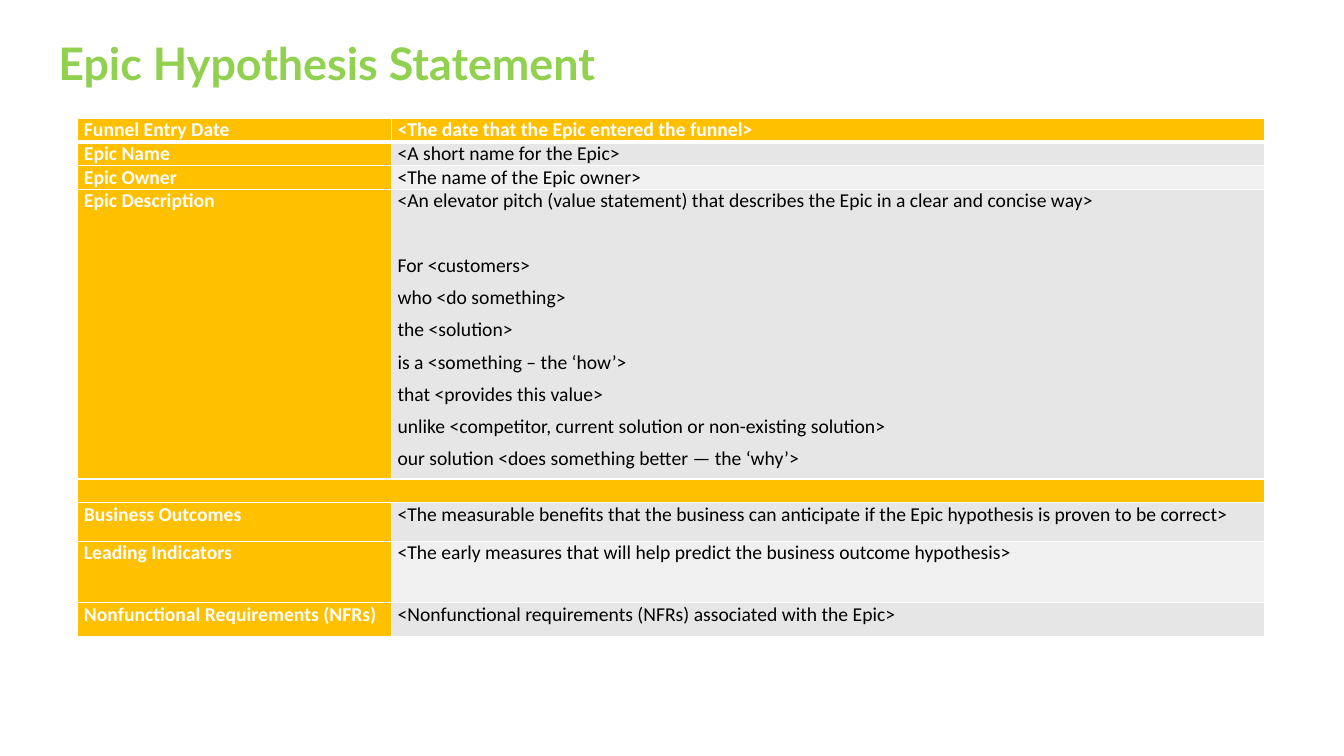
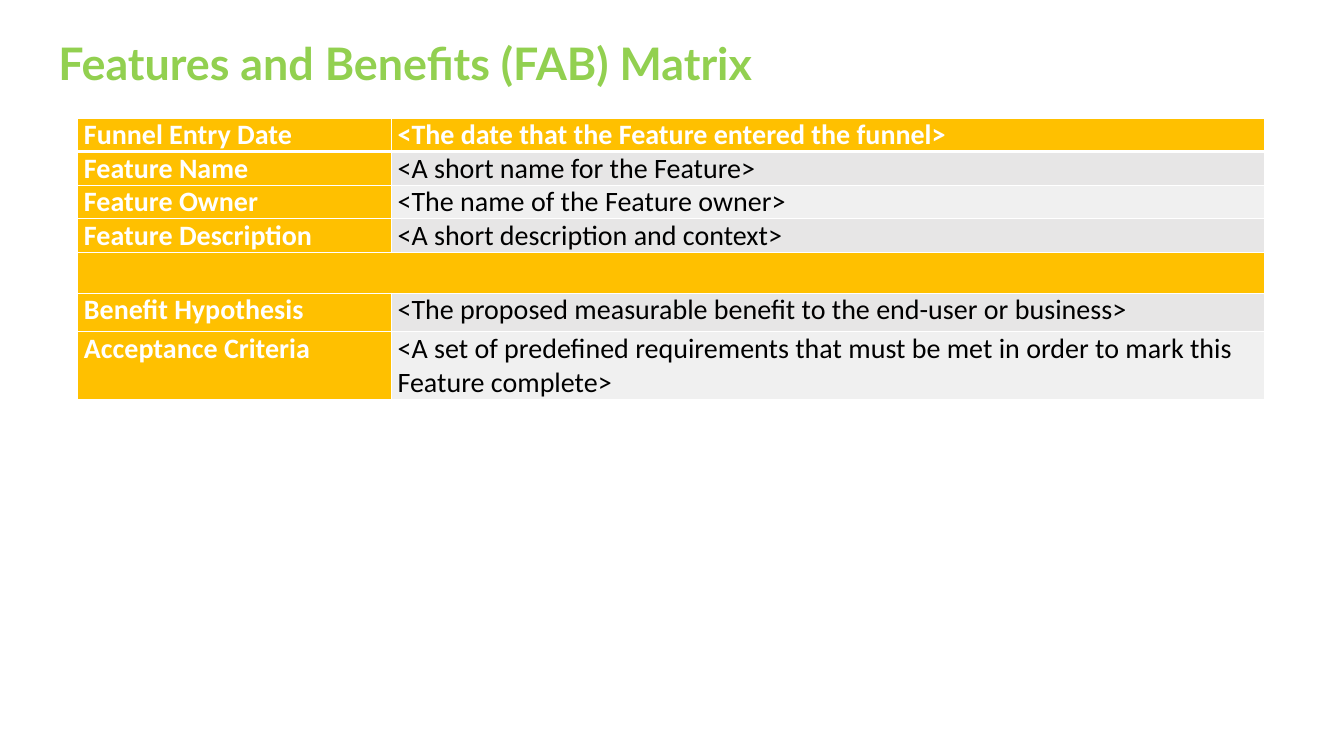
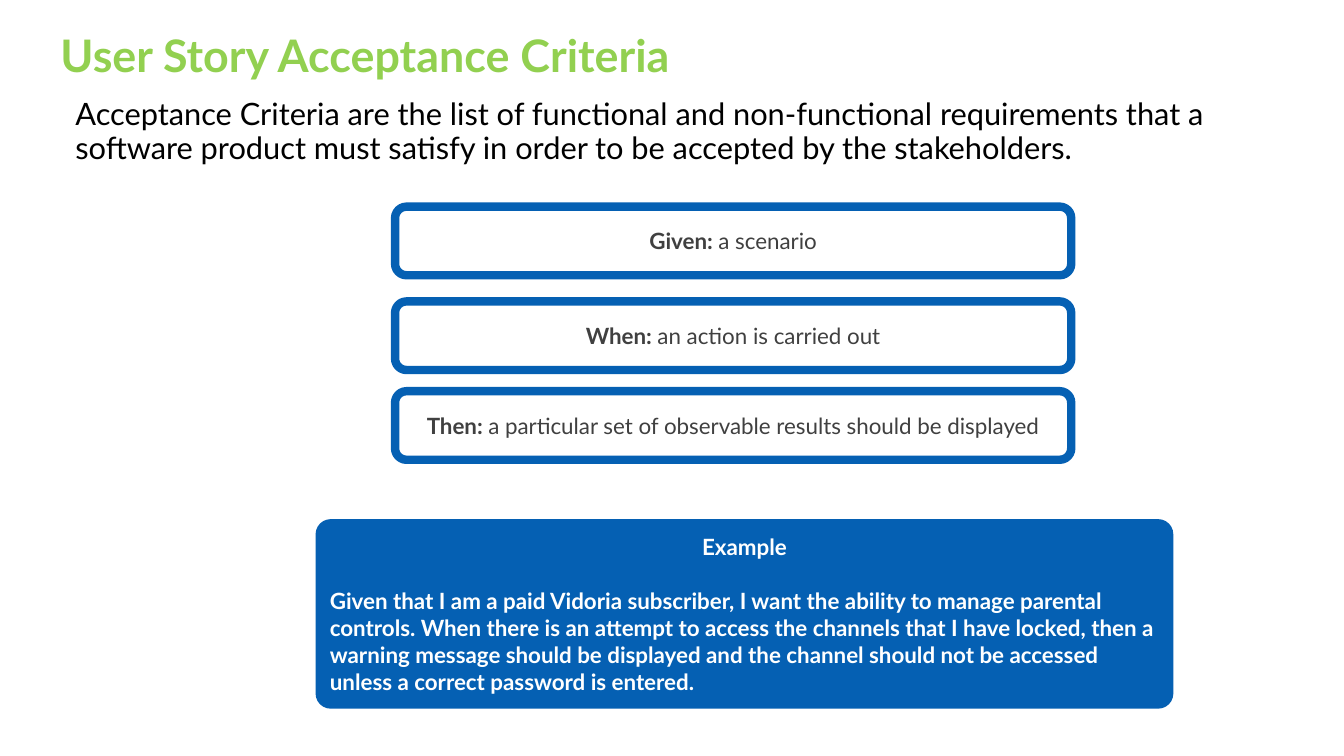
import lxml.etree
import pptx
import pptx.dml.color
import pptx.enum.shapes
import pptx.enum.text
import pptx.oxml.ns
import pptx.util

Pt = pptx.util.Pt
Align = pptx.enum.text.PP_ALIGN
Anchor = pptx.enum.text.MSO_ANCHOR

COLORS = {
    "title": "92D050",
    "label": "FFC000",
    "band_dark": "E7E6E6",
    "band_light": "F0F0F0",
    "white": "FFFFFF",
    "black": "000000",
    "gray": "404040",
    "blue": "0560B3",
}
TITLE_FONT = {"name": "Lato", "size": Pt(32), "bold": True, "color": "title"}
INTRO_FONT = {"name": "Lato", "size": Pt(22), "bold": False, "color": "black"}
STEP_FONT = {"name": "Lato", "size": Pt(16), "bold": False, "color": "gray"}
EXAMPLE_FONT = {"name": "Lato", "size": Pt(16), "bold": True, "color": "white"}

TITLE_BOX = (38, 24, 932, 49)
STORY_TITLE_BOX = (39.6, 18, 932, 49)
TABLE_BOX = (55.5, 84.25, 848, 369)
COLUMN_WIDTHS = (224, 624)

EPIC_ROWS = [
    ("Funnel Entry Date", ["<The date that the Epic entered the funnel>"], 17),
    ("Epic Name", ["<A short name for the Epic>"], 17),
    ("Epic Owner", ["<The name of the Epic owner>"], 17),
    ("Epic Description", [
        "<An elevator pitch (value statement) that describes the Epic in a clear and concise way>",
        "For <customers>",
        "who <do something>",
        "the <solution>",
        "is a <something – the ‘how’>",
        "that <provides this value>",
        "unlike <competitor, current solution or non-existing solution>",
        "our solution <does something better — the ‘why’>",
    ], 207),
    (None, [], 17),
    ("Business Outcomes", [
        "<The measurable benefits that the business can anticipate if the Epic hypothesis is proven to be correct>",
    ], 27.4),
    ("Leading Indicators", [
        "<The early measures that will help predict the business outcome hypothesis>",
    ], 44),
    ("Nonfunctional Requirements (NFRs)", [
        "<Nonfunctional requirements (NFRs) associated with the Epic>",
    ], 24),
]
FEATURE_ROWS = [
    ("Funnel Entry Date", ["<The date that the Feature entered the funnel>"], 24),
    ("Feature Name", ["<A short name for the Feature>"], 24),
    ("Feature Owner", ["<The name of the Feature owner>"], 24),
    ("Feature Description", ["<A short description and context>"], 24),
    (None, [], 29),
    ("Benefit Hypothesis", ["<The proposed measurable benefit to the end-user or business>"], 27.4),
    ("Acceptance Criteria", [
        "<A set of predefined requirements that must be met in order to mark this Feature complete>",
    ], 48.8),
]
STEPS = [
    ("Given: ", "a scenario", 0),
    ("When: ", "an action is carried out", 67.7),
    ("Then: ", "a particular set of observable results should be displayed", 131.8),
]
INTRO = (
    "Acceptance Criteria are the list of functional and non-functional requirements that a "
    "software product must satisfy in order to be accepted by the stakeholders."
)
EXAMPLE = (
    "Given that I am a paid Vidoria subscriber, I want the ability to manage parental controls. "
    "When there is an attempt to access the channels that I have locked, then a warning message "
    "should be displayed and the channel should not be accessed unless a correct password is entered."
)


def rgb(name):
    """Return the named palette colour."""
    return pptx.dml.color.RGBColor.from_string(COLORS[name])


def apply(target, values):
    """Set each attribute of the target from a dict."""
    for name, value in values.items():
        setattr(target, name, value)


def paint(target, color):
    """Give a shape or cell a solid fill."""
    target.fill.solid()
    target.fill.fore_color.rgb = rgb(color)


def add_run(paragraph, text, style, **changes):
    """Add a run of text in the given font style."""
    values = {**style, **changes}
    color = values.pop("color")
    run = paragraph.add_run()
    run.text = text
    apply(run.font, values)
    run.font.color.rgb = rgb(color)


def set_frame(frame, inset_x, inset_y, anchor=Anchor.MIDDLE):
    """Set wrapping, anchor and insets of a text frame."""
    apply(frame, {
        "word_wrap": True,
        "vertical_anchor": anchor,
        "margin_left": Pt(inset_x),
        "margin_right": Pt(inset_x),
        "margin_top": Pt(inset_y),
        "margin_bottom": Pt(inset_y),
    })


def add_text(slide, box, text, style, inset_x=3.6, spacing=0.8, before=0):
    """Place a single paragraph in a text box."""
    shape = slide.shapes.add_textbox(*map(Pt, box))
    set_frame(shape.text_frame, inset_x, 3.6)
    paragraph = shape.text_frame.paragraphs[0]
    apply(paragraph, {"line_spacing": spacing, "space_before": Pt(before)})
    add_run(paragraph, text, style)


def add_panel(slide, box):
    """Place a rounded rectangle outlined in blue, without fill or shadow."""
    shape = slide.shapes.add_shape(
        pptx.enum.shapes.MSO_SHAPE.ROUNDED_RECTANGLE, *map(Pt, box))
    shape.shadow.inherit = False
    shape.fill.background()
    shape.line.color.rgb = rgb("blue")
    shape.line.width = Pt(6)
    set_frame(shape.text_frame, 7.2, 3.6)
    return shape


def set_borders(cell, bottom):
    """Draw white borders round a cell, with the given bottom width."""
    properties = cell._tc.get_or_add_tcPr()
    for side, width in (("L", 1), ("R", 1), ("T", 1), ("B", bottom)):
        line = lxml.etree.SubElement(
            properties, pptx.oxml.ns.qn("a:ln" + side), w=str(Pt(width)))
        fill = lxml.etree.SubElement(line, pptx.oxml.ns.qn("a:solidFill"))
        lxml.etree.SubElement(fill, pptx.oxml.ns.qn("a:srgbClr"), val=COLORS["white"])


def fill_cell(cell, lines, style, color, size, bottom):
    """Write lines into a cell, with a wide gap after a leading summary."""
    apply(cell, {"margin_left": Pt(4.5), "margin_right": Pt(4.5),
                 "margin_top": 0, "margin_bottom": 0})
    set_borders(cell, bottom)
    paint(cell, color)
    frame = cell.text_frame
    for index, text in enumerate(lines):
        paragraph = frame.add_paragraph() if index else frame.paragraphs[0]
        paragraph.space_before = Pt(29 if index == 1 else 6)
        add_run(paragraph, text, style)
    if not lines:
        lxml.etree.SubElement(frame.paragraphs[0]._p, pptx.oxml.ns.qn("a:endParaRPr"),
                              sz=str(size * 100))


def add_matrix(slide, box, rows, size):
    """Place a two-column table of labels and descriptions."""
    left, top, width, _ = box
    height = sum(row[2] for row in rows)
    table = slide.shapes.add_table(
        len(rows), 2, Pt(left), Pt(top), Pt(width), Pt(height)).table
    for column, column_width in zip(table.columns, COLUMN_WIDTHS):
        column.width = Pt(column_width)
    label_style = {"name": "Calibri", "size": Pt(size), "bold": True, "color": "white"}
    value_style = {**label_style, "bold": False, "color": "black"}
    for index, (label, lines, row_height) in enumerate(rows):
        table.rows[index].height = Pt(row_height)
        label_cell, value_cell = table.cell(index, 0), table.cell(index, 1)
        header = index == 0
        bottom = 3 if header else 1
        plain = header or label is None
        band = "label" if plain else "band_dark" if index % 2 else "band_light"
        fill_cell(label_cell, [label] if label else [], label_style, "label", size, bottom)
        fill_cell(value_cell, lines, label_style if header else value_style, band, size, bottom)
        if label is None:
            label_cell.merge(value_cell)


def add_steps(slide, box):
    """Place the Given, When and Then panels down the box."""
    left, top, width, height = box
    for keyword, text, offset in STEPS:
        panel = add_panel(slide, (left, top + offset, width, height))
        paragraph = panel.text_frame.paragraphs[0]
        paragraph.alignment = Align.CENTER
        add_run(paragraph, keyword, STEP_FONT, bold=True)
        add_run(paragraph, text, STEP_FONT)


def add_example(slide, box):
    """Place the filled example panel."""
    panel = add_panel(slide, box)
    panel.adjustments[0] = 0.08
    paint(panel, "blue")
    panel.line.fill.background()
    heading = panel.text_frame.paragraphs[0]
    heading.alignment = Align.CENTER
    add_run(heading, "Example", EXAMPLE_FONT)
    body = panel.text_frame.add_paragraph()
    apply(body, {"alignment": Align.LEFT, "space_before": Pt(19.2)})
    add_run(body, EXAMPLE, EXAMPLE_FONT)


def add_slide(presentation, title, box=TITLE_BOX):
    """Add a blank slide with the shared title style."""
    slide = presentation.slides.add_slide(presentation.slide_layouts[6])
    add_text(slide, box, title, TITLE_FONT)
    return slide


def add_matrix_slide(presentation, title, rows, size):
    """Add a slide that holds one matrix."""
    add_matrix(add_slide(presentation, title), TABLE_BOX, rows, size)


def add_story_slide(presentation):
    """Add the acceptance criteria slide."""
    slide = add_slide(presentation, "User Story Acceptance Criteria", STORY_TITLE_BOX)
    add_text(slide, (46.8, 56.9, 882.7, 75.6), INTRO, INTRO_FONT,
             inset_x=7.2, spacing=0.9, before=10)
    add_steps(slide, (282.2, 147.6, 483, 49))
    add_example(slide, (225.4, 370.8, 612.7, 135.4))


def main():
    """Build and save the presentation."""
    presentation = pptx.Presentation()
    apply(presentation, {"slide_width": Pt(960), "slide_height": Pt(540)})
    add_matrix_slide(presentation, "Epic Hypothesis Statement", EPIC_ROWS, 14)
    add_matrix_slide(presentation, "Features and Benefits (FAB) Matrix", FEATURE_ROWS, 20)
    add_story_slide(presentation)
    presentation.save("out.pptx")


if __name__ == "__main__":
    main()
